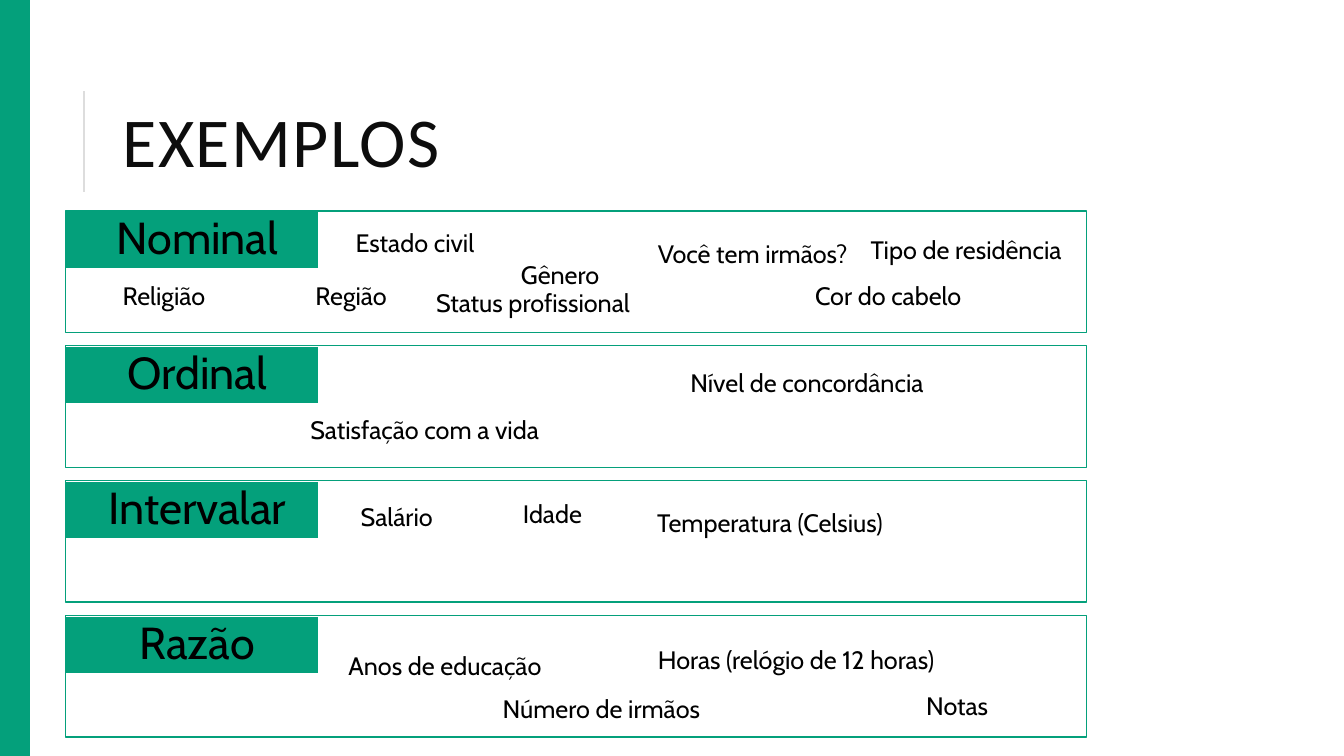
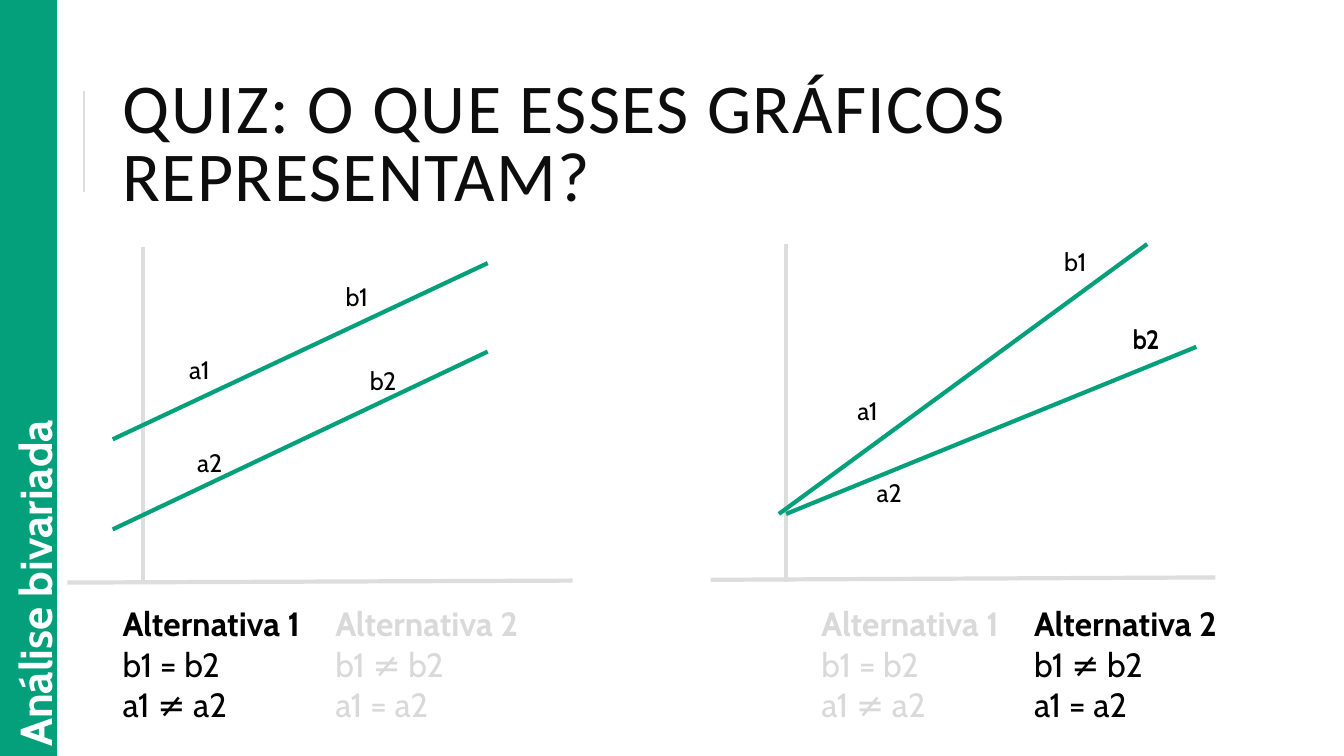
"""Builds two slides: examples of measurement scales and a quiz on regression lines."""
from lxml import etree
from pptx import Presentation
from pptx.dml.color import RGBColor
from pptx.enum.shapes import MSO_CONNECTOR, MSO_SHAPE
from pptx.enum.text import MSO_ANCHOR, PP_ALIGN
from pptx.oxml.ns import qn
from pptx.util import Cm, Pt

RECT = MSO_SHAPE.RECTANGLE
LINE = MSO_CONNECTOR.STRAIGHT
TOP, MID = MSO_ANCHOR.TOP, MSO_ANCHOR.MIDDLE
MIDDLE = PP_ALIGN.CENTER
GREEN, GREY, PALE = "04A07B", "DDDDDD", "D9D9D9"
BLACK, WHITE, DARK = "000000", "FFFFFF", "0D0D0D"
rgb = RGBColor.from_string


def pane(page, at, fill, edge, width=1.25):
    """Draw a rectangle, hollow when fill is None."""
    shape = page.shapes.add_shape(RECT, *map(Cm, at))
    shape.shadow.inherit = False
    if fill:
        shape.fill.solid()
        shape.fill.fore_color.rgb = rgb(fill)
    else:
        shape.fill.background()
    shape.line.color.rgb = rgb(edge)
    shape.line.width = Pt(width)
    return shape


def write(shape, lines, size=18, ink=BLACK, bold=False, font="Cabin", wrap=True):
    """Fill a shape with lines of text; bold marks the first line only."""
    frame = shape.text_frame
    frame.word_wrap = wrap
    frame.vertical_anchor = TOP
    for n, line in enumerate(lines):
        para = frame.add_paragraph() if n else frame.paragraphs[0]
        run = para.add_run()
        run.text = line
        run.font.name = font
        run.font.size = Pt(size)
        run.font.bold = bold and n == 0
        run.font.color.rgb = rgb(ink)
    return frame


deck = Presentation()
deck.slide_width, deck.slide_height = Cm(33.87), Cm(19.05)

axes = [
    (3.61, 14.68, 3.61, 6.22),
    (1.7, 14.68, 14.43, 14.63),
    (19.81, 14.66, 19.81, 6.15),
    (17.91, 14.61, 30.63, 14.55),
]
trends = [
    (2.84, 11.07, 12.29, 6.63),
    (2.84, 13.34, 12.29, 8.86),
    (19.63, 12.95, 28.91, 6.15),
    (19.81, 12.95, 30.15, 8.74),
]
plots = [(ends, GREY, 3) for ends in axes] + [(ends, GREEN, 3) for ends in trends]
heads = [
    ("EXEMPLOS", 0.74, []),
    ("QUIZ: O QUE ESSES GRÁFICOS REPRESENTAM?", 1.42, plots),
]

pages = []
for title, band, extra in heads:
    page = deck.slides.add_slide(deck.slide_layouts[6])
    pages.append(page)
    pane(page, (0, 0, band, 19.05), GREEN, GREEN)
    for ends, ink, width in [((2.11, 4.83, 2.11, 2.29), GREY, 1.5)] + extra:
        line = page.shapes.add_connector(LINE, *map(Cm, ends))
        line.line.color.rgb = rgb(ink)
        line.line.width = Pt(width)
        etree.SubElement(line._element.spPr, qn("a:effectLst"))
    box = page.shapes.add_textbox(Cm(2.84), Cm(1.63), Cm(27), Cm(4.17))
    frame = write(box, [title], 50, DARK, font="Calibri")
    frame.vertical_anchor = MID
    para = frame.paragraphs[0]
    para.line_spacing = 0.8
    para.runs[0].font._element.set("spc", "100")

scales, quiz = pages

groups = [
    ("Nominal", [
        ("Estado civil", 8.71, 5.61, 8.43),
        ("Gênero", 12.88, 6.4, 5.97),
        ("Você tem irmãos?", 16.33, 5.89, 5.97),
        ("Tipo de residência", 21.69, 5.77, 6.93),
        ("Religião", 2.84, 6.93, 8.31),
        ("Região", 7.7, 6.93, 2.69),
        ("Status profissional", 10.74, 7.11, 8.59),
        ("Cor do cabelo", 20.29, 6.93, 7.26),
    ]),
    ("Ordinal", [
        ("Nível de concordância", 17.15, 9.14, 7.92),
        ("Satisfação com a vida", 7.57, 10.31, 7.14),
    ]),
    ("Intervalar", [
        ("Salário", 8.84, 12.52, 5.97),
        ("Idade", 12.93, 12.42, 5.97),
        ("Temperatura (Celsius)", 16.31, 12.67, 7.04),
    ]),
    ("Razão", [
        ("Anos de educação", 8.53, 16.26, 5.97),
        ("Horas (relógio de 12 horas)", 16.33, 16.1, 8.23),
        ("Número de irmãos", 12.42, 17.35, 5.97),
        ("Notas", 23.09, 17.27, 6.35),
    ]),
]
for row, (name, items) in enumerate(groups):
    top = 5.31 + 3.4 * row
    tag = pane(scales, (1.65, top, 6.38, 1.47), GREEN, WHITE, 1.5)
    frame = write(tag, [name], 32)
    frame.margin_left = Cm(0.4)
    frame.margin_top = frame.margin_right = frame.margin_bottom = Cm(0.13)
    frame.paragraphs[0].alignment = MIDDLE
    frame.paragraphs[0].line_spacing = 0.9
    for text, x, y, wide in items:
        box = scales.shapes.add_textbox(Cm(x), Cm(y), Cm(wide), Cm(1.02))
        write(box, [text])
    pane(scales, (1.65, top, 25.73, 3.07), None, GREEN)

choices = [
    ["Alternativa 1", "b1 = b2", "a1 ≠ a2"],
    ["Alternativa 2", "b1 ≠ b2", "a1 = a2"],
]
for right, left in enumerate((2.84, 20.45)):
    for n, lines in enumerate(choices):
        box = quiz.shapes.add_textbox(Cm(left + 5.36 * n), Cm(15.08), Cm(6.2), Cm(3.9))
        write(box, lines, 24, BLACK if n == right else PALE, True)

labels = [
    ("a1", 4.52, 8.81),
    ("b1", 8.46, 6.96),
    ("a2", 4.72, 11.15),
    ("b2", 9.07, 9.07),
    ("a1", 21.36, 9.83),
    ("b1", 26.57, 6.07),
    ("a2", 21.84, 11.91),
    ("b2", 28.3, 8.05),
    ("b2", 28.3, 8.03),
]
for text, x, y in labels:
    box = quiz.shapes.add_textbox(Cm(x), Cm(y), Cm(1.22), Cm(1.02))
    write(box, [text], wrap=False)

side = quiz.shapes.add_textbox(Cm(-5.92), Cm(11.46), Cm(13.59), Cm(1.63))
side.rotation = 270
write(side, ["Análise bivariada"], 32, WHITE, True)

deck.save("out.pptx")
